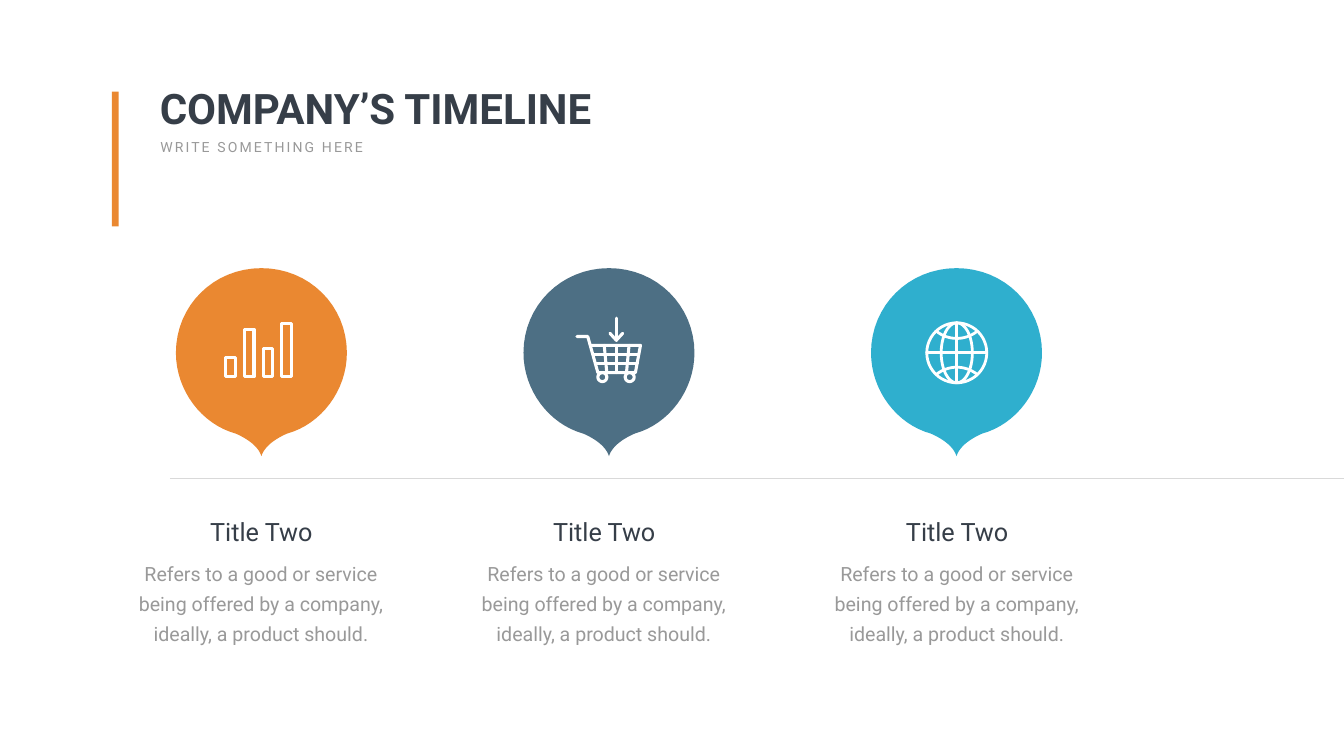
from math import cos, sin, tau

from lxml.etree import SubElement
from pptx import Presentation
from pptx.dml.color import RGBColor
from pptx.enum.shapes import MSO_CONNECTOR as Link, MSO_SHAPE as Form
from pptx.enum.text import MSO_AUTO_SIZE as Fit, PP_ALIGN as Align
from pptx.oxml.ns import qn
from pptx.util import Inches, Pt

PAGE = (0, 0, 26.66, 15)
DARK, GREY, RULE, WHITE = "363E48", "999999", "D9D9D9", "FFFFFF"
ORANGE, SLATE, CYAN = "EA8831", "4D6F84", "2FAFCE"
BODY = ("Refers to a good or service being offered by a company, "
        "ideally, a product should.")


def tint(code):
    return RGBColor.from_string(code)


def part(box, x, y, w, h):
    """Box inside a box, in percent of the outer one."""
    left, top, wide, high = box
    return (left + wide * x / 100, top + high * y / 100,
            wide * w / 100, high * h / 100)


def text(slide, box, words, size=28, color=DARK, bold=False, align=Align.LEFT,
         wrap=True, inset=(0.1, 0.05), lead=None, track=None):
    frame = slide.shapes.add_textbox(*map(Inches, box)).text_frame
    frame.word_wrap = wrap
    frame.auto_size = Fit.SHAPE_TO_FIT_TEXT
    frame.margin_left = frame.margin_right = Inches(inset[0])
    frame.margin_top = frame.margin_bottom = Inches(inset[1])
    para = frame.paragraphs[0]
    para.alignment = align
    if lead:
        para.line_spacing = Pt(lead)
    run = para.add_run()
    run.text = words
    run.font.name, run.font.size, run.font.bold = "Roboto", Pt(size), bold
    run.font.color.rgb = tint(color)
    if track:
        run._r.get_or_add_rPr().set("spc", str(track * 100))


def paint(shape, color):
    shape.shadow.inherit = False
    shape.fill.solid()
    shape.fill.fore_color.rgb = tint(color)
    shape.line.fill.background()


# Curves, as lists of points in a unit square
def curve(a, b, c, d, steps=16):
    def spot(t):
        u = 1 - t
        mix = (u ** 3, 3 * u * u * t, 3 * u * t * t, t ** 3)
        return tuple(sum(m * p[k] for m, p in zip(mix, (a, b, c, d)))
                     for k in (0, 1))
    return [spot(i / steps) for i in range(steps + 1)]


def ring(x, y, rx, ry, steps=48):
    return [(x + rx * cos(tau * i / steps), y + ry * sin(tau * i / steps))
            for i in range(steps + 1)]


def trace(slide, box, paths):
    """One freeform; a path that ends where it starts is closed."""
    left, top, wide, high = box
    pen = None
    for path in paths:
        spots = [(Inches(left + wide * x), Inches(top + high * y))
                 for x, y in path]
        if pen is None:
            pen = slide.shapes.build_freeform(*spots[0])
        else:
            pen.move_to(*spots[0])
        shut = spots[0] == spots[-1]
        pen.add_line_segments(spots[1:], close=shut)
    return pen.convert_to_shape()


# Icons, drawn as strokes
def bars():
    rows = []
    for i, high in enumerate((0.35, 0.88, 0.53, 1)):
        x, end, y = 0.285 * i, 0.285 * i + 0.145, 1 - high
        rows.append([(x, y), (end, y), (end, 1), (x, 1), (x, y)])
    return rows


def cart():
    frame = [(0, 0.29), (0.17, 0.29), (0.33, 0.86), (0.92, 0.86),
             (1, 0.43), (0.21, 0.43)]
    shelves = [[(0.25, 0.57), (0.97, 0.57)], [(0.29, 0.71), (0.95, 0.71)]]
    bars_down = [[(a, 0.43), (b, 0.86)]
                 for a, b in ((0.43, 0.47), (0.62, 0.62), (0.82, 0.78))]
    wheels = [ring(x, 0.93, 0.07, 0.07) for x in (0.4, 0.83)]
    arrow = [[(0.62, 0), (0.62, 0.35)],
             [(0.52, 0.24), (0.62, 0.35), (0.72, 0.24)]]
    return [frame, *shelves, *bars_down, *wheels, *arrow]


def globe():
    low = curve((0.16, 0.86), (0.36, 0.7), (0.64, 0.7), (0.84, 0.86))
    high = [(x, 1 - y) for x, y in low]
    return [ring(0.5, 0.5, 0.5, 0.5), ring(0.5, 0.5, 0.26, 0.5),
            [(0, 0.5), (1, 0.5)], [(0.5, 0), (0.5, 1)], low, high]


def header(slide, box):
    bar = slide.shapes.add_shape(
        Form.RECTANGLE, *map(Inches, part(box, 0, 7.93, 1.16, 92.07)))
    paint(bar, ORANGE)
    text(slide, part(box, 7.56, 0, 92.44, 38.28), "COMPANY’S TIMELINE",
         size=60, bold=True)
    text(slide, part(box, 7.65, 38.28, 38.7, 15.17), "WRITE SOMETHING HERE",
         size=20, color=GREY, wrap=False, track=3)


def axis(slide, box):
    left, top, wide, _ = map(Inches, box)
    line = slide.shapes.add_connector(Link.STRAIGHT, left, top,
                                      left + wide, top)
    line.line.color.rgb, line.line.width = tint(RULE), Pt(0.5)
    SubElement(line._element.spPr, qn("a:effectLst"))


def pin(slide, box, color, icon, spot, width):
    # Right half from the top to the tip, then its mirror
    half = (curve((0, 0), (0.28, 0), (0.5, 0.2), (0.5, 0.45))
            + curve((0.5, 0.45), (0.5, 0.65), (0.35, 0.83), (0.15, 0.88))
            + curve((0.15, 0.88), (0.1, 0.9), (0.02, 0.94), (0, 1)))
    rim = half + [(-x, y) for x, y in reversed(half)]
    paint(trace(slide, box, [[(0.5 + x, y) for x, y in rim]]), color)
    # Icon on the pin
    mark = trace(slide, part(box, *spot), icon())
    mark.shadow.inherit = False
    mark.fill.background()
    mark.line.color.rgb, mark.line.width = tint(WHITE), Pt(width)
    stroke = mark.line._get_or_add_ln()
    stroke.set("cap", "rnd")
    SubElement(stroke, qn("a:round"))


def note(slide, box):
    text(slide, part(box, 0, 26.39, 100, 73.61), BODY, color=GREY,
         align=Align.CENTER, inset=(0.24, 0.12), lead=43)
    text(slide, part(box, 3.41, 0, 93.53, 26.39), "Title Two", size=36,
         align=Align.CENTER)


def main():
    deck = Presentation()
    deck.slide_width, deck.slide_height = map(Inches, PAGE[2:])
    slide = deck.slides.add_slide(deck.slide_layouts[6])
    header(slide, part(PAGE, 8.33, 10.6, 42.16, 19.33))
    axis(slide, part(PAGE, 12.64, 63.27, 87.36, 0))
    # Colour, icon, its place on the pin, stroke, left edge of the note
    steps = [
        (ORANGE, bars, (29.2, 29.22, 38.35, 28.42), 4.4, 8.4),
        (SLATE, cart, (31.27, 26.54, 37.17, 33.78), 4.4, 33.91),
        (CYAN, globe, (32.6, 29.09, 35.1, 31.9), 4, 60.17),
    ]
    for i, (color, icon, spot, width, left) in enumerate(steps):
        pin(slide, part(PAGE, 13.09 + 25.86 * i, 35.47, 12.72, 24.87),
            color, icon, spot, width)
        note(slide, part(PAGE, left, 67.93, 22.02, 17.93))
    deck.save("out.pptx")


if __name__ == "__main__":
    main()
